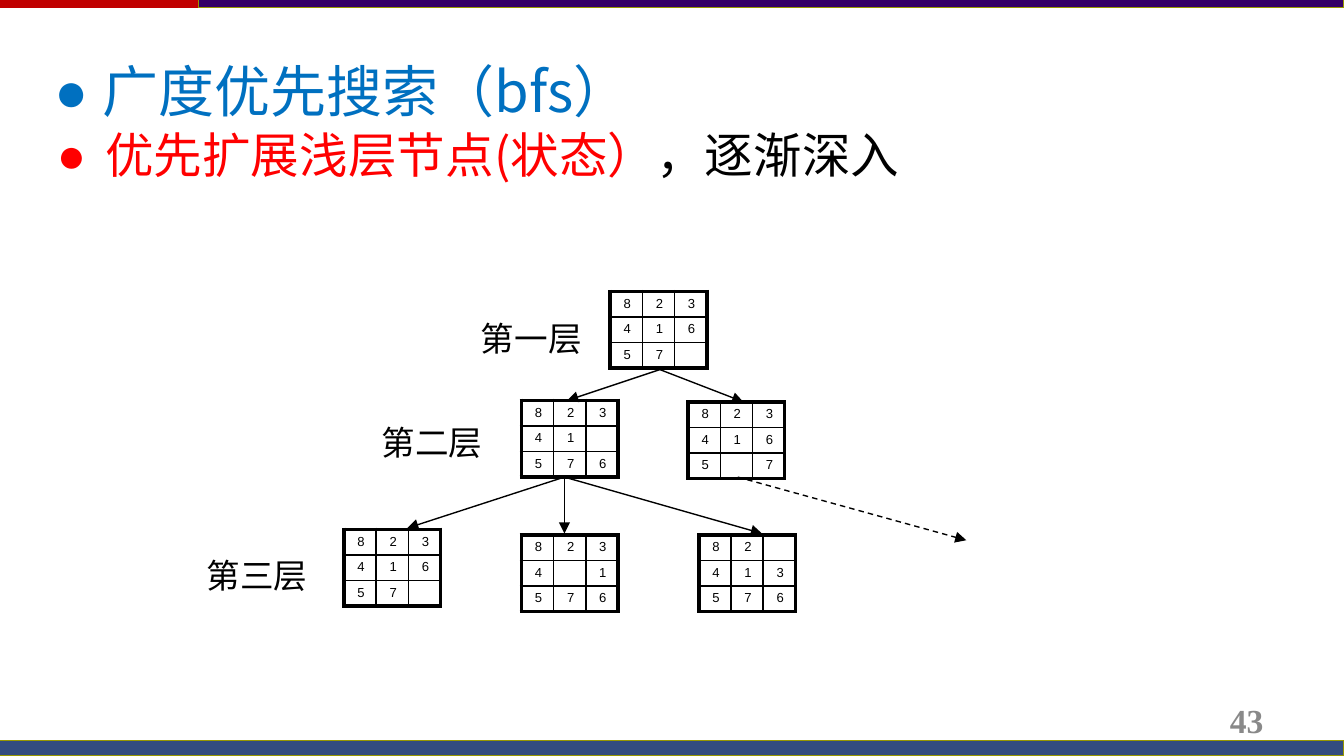
import lxml.etree
import pptx
import pptx.dml.color
import pptx.enum.dml
import pptx.enum.shapes
import pptx.enum.text
import pptx.oxml.ns
import pptx.util

qn = pptx.oxml.ns.qn
Pt = pptx.util.Pt

THEME = {
    "colors": {"red_bar": "C00000", "purple_bar": "330066", "footer": "002060",
               "edge": "979700", "number": "898989", "blue": "0070C0",
               "red": "FF0000", "ink": "000000"},
    "sizes": {"heading": 30, "point": 26, "label": 18, "number": 18, "tile": 7},
    "fonts": {"body": "Noto Sans CJK SC", "label": "Vollkorn",
              "number": "Times New Roman", "tile": "Arial"},
    "lines": {"outer": 2.25, "inner": 1, "arrow": 0.75, "hairline": 0.01},
}

# Content. The slide is a grid of 100 columns and 56.25 rows of equal units.
COLUMNS, ROWS = 100, 56.25
BARS = [  # left, top, width, height, fill, has edge
    (0, 0, 100, 0.6, "red_bar", False),
    (14.8, 0, 85.2, 0.6, "purple_bar", True),
    (0, 55.1, 100, 1.15, "footer", True),
]
POINTS = [  # margin, space before, size, runs
    (4.75, 4, "heading", [("广度优先搜索（bfs）", "blue")]),
    (4.95, 2, "point", [("优先扩展浅层节点(状态）", "red"), ("，逐渐深入", "ink")]),
]
HANGING = 3.6
LABELS = [("第一层", 34.8, 23.2), ("第二层", 27.4, 30.9), ("第三层", 14.4, 40.8)]
BOARDS = [  # left, top, rows of tiles
    (45.4, 21.7, ("823", "416", "57 ")),
    (38.8, 29.8, ("823", "41 ", "576")),
    (51.2, 29.9, ("823", "416", "5 7")),
    (52.0, 39.8, ("82 ", "413", "576")),
    (38.8, 39.8, ("823", "4 1", "576")),
    (25.6, 39.4, ("823", "416", "57 ")),
]
TILE_WIDTH, TILE_HEIGHT = 2.38, 1.9
ARROWS = [  # start, end, dashed
    ((49.1, 27.5), (42.2, 29.8), False),
    ((49.1, 27.5), (55.3, 29.9), False),
    ((42.3, 35.4), (30.3, 39.3), False),
    ((42.0, 35.4), (42.0, 39.7), False),
    ((42.0, 35.5), (56.7, 39.7), False),
    ((54.9, 35.5), (71.9, 40.2), True),
]

presentation = pptx.Presentation()
presentation.slide_width = pptx.util.Inches(10)
UNIT = presentation.slide_width / COLUMNS
presentation.slide_height = round(ROWS * UNIT)
slide = presentation.slides.add_slide(presentation.slide_layouts[6])


def units(*values):
    return [round(value * UNIT) for value in values]


def color(name):
    return pptx.dml.color.RGBColor.from_string(THEME["colors"][name])


def add_run(paragraph, text, size, font, ink, bold=False):
    run = paragraph.add_run()
    run.text = text
    run.font.size = Pt(THEME["sizes"][size])
    run.font.name = THEME["fonts"][font]
    run.font.bold = bold
    run.font.color.rgb = color(ink)
    east_asian = lxml.etree.SubElement(run._r.get_or_add_rPr(), qn("a:ea"))
    east_asian.set("typeface", THEME["fonts"]["body"])


def add_text_box(left, top, width, height):
    frame = slide.shapes.add_textbox(*units(left, top, width, height)).text_frame
    frame.word_wrap = True
    return frame


def add_bullet(paragraph, margin, ink):
    properties = paragraph._p.get_or_add_pPr()
    left, indent = units(margin, -HANGING)
    properties.set("marL", str(left))
    properties.set("indent", str(indent))
    bullet_color = lxml.etree.SubElement(properties, qn("a:buClr"))
    lxml.etree.SubElement(bullet_color, qn("a:srgbClr")).set("val", THEME["colors"][ink])
    lxml.etree.SubElement(properties, qn("a:buFont")).set("typeface", "Arial")
    lxml.etree.SubElement(properties, qn("a:buChar")).set("char", "●")


def add_border(cell, side, width):
    line = lxml.etree.SubElement(cell._tc.get_or_add_tcPr(), qn("a:" + side))
    line.set("w", str(Pt(width)))
    fill = lxml.etree.SubElement(line, qn("a:solidFill"))
    lxml.etree.SubElement(fill, qn("a:srgbClr")).set("val", THEME["colors"]["ink"])


def add_board(left, top, tiles):
    count = len(tiles)
    table = slide.shapes.add_table(count, count, *units(
        left, top, count * TILE_WIDTH, count * TILE_HEIGHT)).table
    table.first_row = table.horz_banding = False
    for row, line in enumerate(tiles):
        for column, digit in enumerate(line):
            cell = table.cell(row, column)
            cell.margin_left, cell.margin_right = units(1, 1)
            cell.margin_top, cell.margin_bottom = units(0.36, 0.36)
            outer_sides = {"lnL": column == 0, "lnR": column == count - 1,
                           "lnT": row == 0, "lnB": row == count - 1}
            for side, outer in outer_sides.items():
                add_border(cell, side, THEME["lines"]["outer" if outer else "inner"])
            cell.fill.background()
            paragraph = cell.text_frame.paragraphs[0]
            if digit.strip():
                add_run(paragraph, digit, "tile", "tile", "ink")
            else:  # keep the empty tile as low as the others
                ending = lxml.etree.SubElement(paragraph._p, qn("a:endParaRPr"))
                ending.set("sz", str(THEME["sizes"]["tile"] * 100))


def add_arrow(start, end, dashed):
    arrow = slide.shapes.add_connector(
        pptx.enum.shapes.MSO_CONNECTOR.STRAIGHT, *units(*start, *end))
    arrow.line.width = Pt(THEME["lines"]["arrow"])
    arrow.line.color.rgb = color("ink")
    if dashed:
        arrow.line.dash_style = pptx.enum.dml.MSO_LINE.DASH
    head = lxml.etree.SubElement(arrow.line._get_or_add_ln(), qn("a:tailEnd"))
    head.set("type", "triangle")
    lxml.etree.SubElement(arrow._element.spPr, qn("a:effectLst"))


# Bars at the top and the bottom
for left, top, width, height, fill, edged in BARS:
    bar = slide.shapes.add_shape(pptx.enum.shapes.MSO_SHAPE.RECTANGLE,
                                 *units(left, top, width, height))
    bar.shadow.inherit = False
    bar.fill.solid()
    bar.fill.fore_color.rgb = color(fill)
    if edged:
        bar.line.color.rgb = color("edge")
        bar.line.width = Pt(THEME["lines"]["hairline"])
    else:
        bar.line.fill.background()
    if fill == "footer":
        tint = bar._element.spPr.find(qn("a:solidFill"))[0]
        lxml.etree.SubElement(tint, qn("a:alpha")).set("val", "80000")

# Slide number
number_frame = add_text_box(71.7, 52.1, 23.3, 3)
number_frame.vertical_anchor = pptx.enum.text.MSO_ANCHOR.MIDDLE
number_frame.paragraphs[0].alignment = pptx.enum.text.PP_ALIGN.RIGHT
add_run(number_frame.paragraphs[0], "43", "number", "number", "number", bold=True)

# Heading and point
body = add_text_box(1.9, 4.1, 83.5, 47.6)
for index, (margin, before, size, runs) in enumerate(POINTS):
    paragraph = body.add_paragraph() if index else body.paragraphs[0]
    paragraph.alignment = pptx.enum.text.PP_ALIGN.JUSTIFY
    paragraph.line_spacing = 0.95
    paragraph.space_before = Pt(before)
    add_bullet(paragraph, margin, runs[0][1])
    for text, ink in runs:
        add_run(paragraph, text, size, "body", ink)

# Search tree
for text, left, top in LABELS:
    add_run(add_text_box(left, top, 10.7, 4).paragraphs[0], text, "label", "label", "ink")
for board in BOARDS:
    add_board(*board)
for arrow in ARROWS:
    add_arrow(*arrow)

presentation.save("out.pptx")
